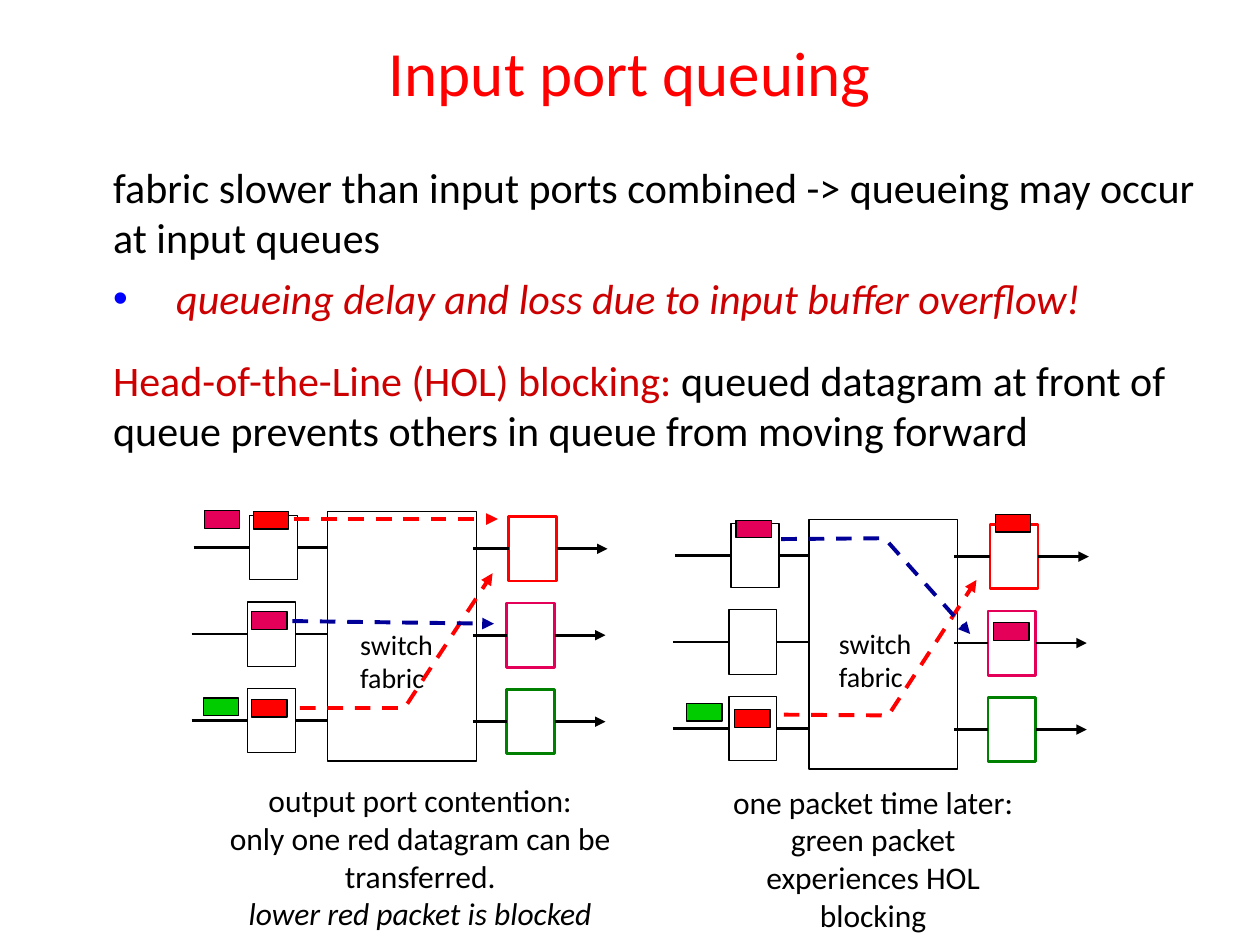
from lxml import etree
from pptx import Presentation
from pptx.dml.color import RGBColor
from pptx.enum import dml, shapes, text
from pptx.oxml import ns
from pptx.util import Pt

BLACK = RGBColor(0x00, 0x00, 0x00)
WHITE = RGBColor(0xFF, 0xFF, 0xFF)
RED = RGBColor(0xFF, 0x00, 0x00)
DARK_RED = RGBColor(0xCC, 0x00, 0x00)
PINK = RGBColor(0xE4, 0x00, 0x59)
GREEN = RGBColor(0x00, 0xCC, 0x00)
DARK_GREEN = RGBColor(0x00, 0x80, 0x00)
NAVY = RGBColor(0x00, 0x00, 0x99)
BLUE = RGBColor(0x00, 0x00, 0xFF)

FONT = "Calibri"
ROW_PITCH = 49.4
PORT_W, PORT_H = 27.4, 36.8
TOP, LEFT, BOTTOM, RIGHT = range(4)


def add_text(slide, left, top, width, height, paras, size, align=None, wrap=True):
    """Each paragraph is a list of (text, colour, italic) spans."""
    box = slide.shapes.add_textbox(Pt(left), Pt(top), Pt(width), Pt(height))
    frame = box.text_frame
    frame.word_wrap = wrap
    for number, spans in enumerate(paras):
        para = frame.paragraphs[0] if number == 0 else frame.add_paragraph()
        para.alignment = align
        for words, color, italic in spans:
            span = para.add_run()
            span.text = words
            span.font.name = FONT
            span.font.size = Pt(size)
            span.font.color.rgb = color
            span.font.italic = italic
    return frame


def add_rect(slide, left, top, width, height, fill=WHITE, line=BLACK, weight=0.75):
    rect = slide.shapes.add_shape(shapes.MSO_SHAPE.RECTANGLE,
                                  Pt(left), Pt(top), Pt(width), Pt(height))
    rect.shadow.inherit = False
    rect.fill.solid()
    rect.fill.fore_color.rgb = fill
    rect.line.color.rgb = line
    rect.line.width = Pt(weight)
    return rect


def style_line(shape, color, weight, dashed=False, arrow=False):
    shape.line.color.rgb = color
    shape.line.width = Pt(weight)
    if dashed:
        shape.line.dash_style = dml.MSO_LINE.DASH
    if arrow:
        outline = shape.line._get_or_add_ln()
        etree.SubElement(outline, ns.qn("a:tailEnd"), type="triangle")


def add_line(slide, start, end, **style):
    line = slide.shapes.add_connector(shapes.MSO_CONNECTOR.STRAIGHT,
                                      *(Pt(value) for value in (*start, *end)))
    style_line(line, **style)
    etree.SubElement(line._element.spPr, ns.qn("a:effectLst"))
    return line


def add_flow(slide, points, color):
    """Dashed arrow along two or more points."""
    style = dict(color=color, weight=2.25, dashed=True, arrow=True)
    if len(points) == 2:
        add_line(slide, *points, **style)
        return
    corners = [(Pt(x), Pt(y)) for x, y in points]
    builder = slide.shapes.build_freeform(*corners[0])
    builder.add_line_segments(corners[1:], close=False)
    flow = builder.convert_to_shape()
    flow.shadow.inherit = False
    flow.fill.background()
    style_line(flow, **style)


def add_heading(slide, left, top, width, height):
    frame = add_text(slide, left, top, width, height,
                     [[("Input port queuing", RED, False)]], 36, text.PP_ALIGN.CENTER)
    frame.vertical_anchor = text.MSO_ANCHOR.MIDDLE


def add_body(slide, left, top, width, height):
    frame = add_text(slide, left, top, width, height, [
        [("fabric slower than input ports combined -> queueing may occur at input queues",
          BLACK, False)],
        [("queueing delay and loss due to input buffer overflow!", DARK_RED, True)],
        [("Head-of-the-Line (HOL) blocking:", DARK_RED, False),
         (" queued datagram at front of queue prevents others in queue from moving forward",
          BLACK, False)],
    ], 24)
    for para, space in zip(frame.paragraphs, (18, 6, 18)):
        para.space_before = Pt(space)

    # Blue bullet with a hanging indent
    props = frame.paragraphs[1]._p.get_or_add_pPr()
    props.set("marL", str(Pt(36)))
    props.set("indent", str(Pt(-36)))
    bullet_color = etree.SubElement(props, ns.qn("a:buClr"))
    etree.SubElement(bullet_color, ns.qn("a:srgbClr"), val=str(BLUE))
    etree.SubElement(props, ns.qn("a:buFont"), typeface="Arial")
    etree.SubElement(props, ns.qn("a:buChar"), char="•")


def add_switch(slide, left, top):
    """Fabric with three input ports, three output ports and their wires."""
    fabric_left, fabric_right = left + 77.8, left + 162.8
    add_rect(slide, fabric_left, top, 85, 142.6)
    wire = dict(color=BLACK, weight=1.5)
    for row, color in enumerate((RED, PINK, DARK_GREEN)):
        x = left + (1.2 if row == 0 else 0)
        in_top = top + 2.3 + row * ROW_PITCH
        out_top = in_top + 0.6
        in_left, out_left = x + 32, x + 180
        in_port = add_rect(slide, in_left, in_top, PORT_W, PORT_H)
        out_port = add_rect(slide, out_left, out_top, PORT_W, PORT_H, line=color, weight=1.5)
        in_mid, out_mid = in_top + PORT_H / 2, out_top + PORT_H / 2

        arriving = add_line(slide, (x, in_mid), (in_left, in_mid), **wire)
        arriving.end_connect(in_port, LEFT)
        entering = add_line(slide, (in_left + PORT_W, in_mid), (fabric_left, in_mid), **wire)
        entering.begin_connect(in_port, RIGHT)
        exiting = add_line(slide, (fabric_right - 2, out_mid), (out_left, out_mid), **wire)
        exiting.end_connect(out_port, LEFT)
        leaving = add_line(slide, (out_left + PORT_W, out_mid), (x + 236.5, out_mid),
                           arrow=True, **wire)
        leaving.begin_connect(out_port, RIGHT)


def add_panel(slide, left, top, packets, flows, label_at, caption_box, caption):
    """Switch with packets, flows, fabric label and caption, all relative to the corner."""
    add_switch(slide, left, top)
    for x, y, color in packets:
        add_rect(slide, left + x, top + y, 20.2, 10.1, fill=color)
    for color, points in flows:
        add_flow(slide, [(left + x, top + y) for x, y in points], color)
    add_text(slide, left + label_at[0], top + label_at[1], 56, 46,
             [[("switch", BLACK, False)], [("fabric", BLACK, False)]], 16, wrap=False)
    x, y, width, height = caption_box
    add_text(slide, left + x, top + y, width, height,
             [[(words, BLACK, italic)] for words, italic in caption],
             18, text.PP_ALIGN.CENTER)


def main():
    deck = Presentation()
    deck.slide_width, deck.slide_height = Pt(720), Pt(540)
    slide = deck.slides.add_slide(deck.slide_layouts[6])

    add_heading(slide, 54, 23, 612, 36)
    add_body(slide, 57.6, 88.6, 638, 209)

    # Output port contention
    add_panel(
        slide, 109.5, 292.3,
        packets=[(35.3, 0, RED), (34.3, 57.3, PINK), (34.3, 107.3, RED),
                 (7.3, -0.5, PINK), (6.8, 106.6, GREEN)],
        flows=[(RED, [(58.3, 4.3), (175, 4.3)]),
               (RED, [(61.9, 112.3), (121.7, 112.3), (172, 35.3)]),
               (NAVY, [(57.6, 62.6), (172.8, 64.1)])],
        label_at=(89.3, 62.6),
        caption_box=(-2.9, 150.5, 267, 93.6),
        caption=[("output port contention:", False),
                 ("only one red datagram can be transferred.", False),
                 ("lower red packet is blocked", True)])

    # One packet time later
    add_panel(
        slide, 384.5, 296.8,
        packets=[(184.3, -2.9, RED), (36, 0.5, PINK), (35.3, 108.7, RED),
                 (7.9, 105.1, GREEN), (183.3, 59, PINK)],
        flows=[(RED, [(63.4, 111.6), (123.1, 112), (173.5, 34.6)]),
               (NAVY, [(61.9, 11.3), (121, 10.8), (169.9, 65.5)])],
        label_at=(87.8, 57.6),
        caption_box=(26.6, 146.9, 175.7, 93.6),
        caption=[("one packet time later: green packet experiences HOL blocking", False)])

    deck.save("out.pptx")


if __name__ == "__main__":
    main()
